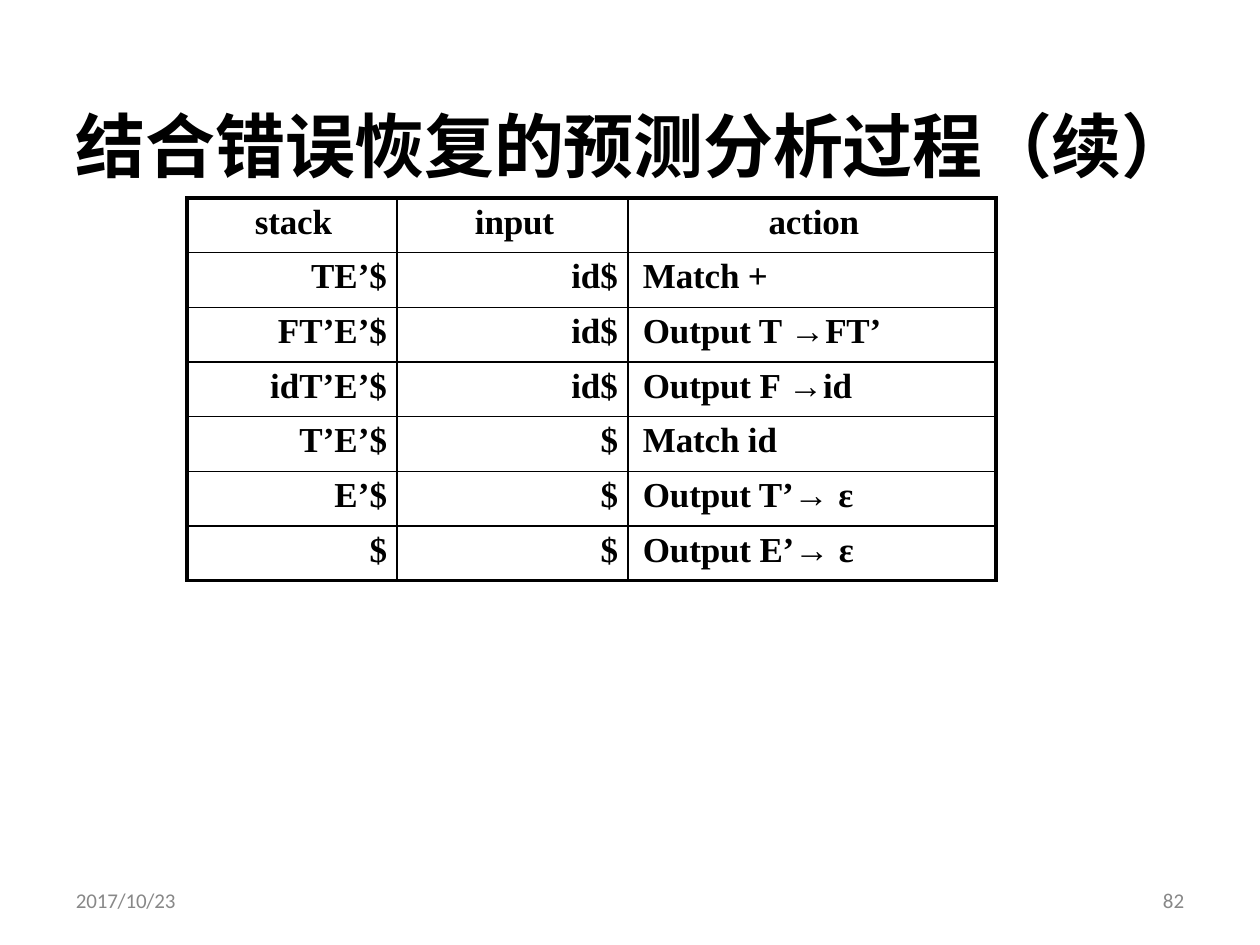
"""Builds the slide on predictive parsing with error recovery."""
from lxml.etree import SubElement
from pptx import Presentation
from pptx.dml.color import RGBColor
from pptx.enum.text import MSO_ANCHOR, PP_ALIGN
from pptx.oxml import parse_xml
from pptx.oxml.ns import nsdecls, qn
from pptx.util import Emu, Pt

PX = 914400 // 126
COLORS = {"ink": "000000", "muted": "888888"}
FORMATS = {
    "title": {"size": Pt(40), "name": "Noto Sans CJK SC", "bold": True},
    "cell": {"size": Pt(20), "name": "Times New Roman", "bold": True},
    "arrow": {"size": Pt(20), "name": "Arial", "bold": True},
    "footer": {"size": Pt(12), "name": "Calibri", "bold": False},
}


def add_run(p, text, style, color="ink", spacing=0):
    r = p.add_run()
    r.text = text
    for key, value in FORMATS[style].items():
        setattr(r.font, key, value)
    r.font.color.rgb = RGBColor.from_string(COLORS[color])
    rPr = r.font._element
    rPr.set("spc", str(spacing))
    if style == "title":
        SubElement(rPr, qn("a:ea"), typeface=FORMATS[style]["name"])


def set_margins(obj, left, top, right, bottom):
    for side, value in zip(("left", "top", "right", "bottom"), (left, top, right, bottom)):
        setattr(obj, f"margin_{side}", Emu(value * PX))


prs = Presentation()
prs.slide_width, prs.slide_height = Emu(1260 * PX), Emu(945 * PX)
s = prs.slides.add_slide(prs.slide_layouts[6])

boxes = [
    ("2017/10/23", (74, 891, 105, 24), 2, "footer", "muted", -10),
    ("82", (1159, 891, 28, 24), 4, "footer", "muted", 0),
    ("结合错误恢复的预测分析过程（续）", (74, 101, 1125, 88), 2, "title", "ink", -10),
]
for text, place, left, style, color, spacing in boxes:
    sp = s.shapes.add_textbox(*(Emu(v * PX) for v in place))
    tf = sp.text_frame
    tf.word_wrap = style == "title"
    set_margins(tf, left, 0, 0, 0)
    p = tf.paragraphs[0]
    if style == "title":
        tf.vertical_anchor = MSO_ANCHOR.MIDDLE
    else:
        p.line_spacing = Pt(12.4)
    add_run(p, text, style, color, spacing)

rows = [
    ("stack", "input", "action"),
    ("TE’$", "id$", "Match +"),
    ("FT’E’$", "id$", "Output T →FT’"),
    ("idT’E’$", "id$", "Output F →id"),
    ("T’E’$", "$", "Match id"),
    ("E’$", "$", "Output T’→ ε"),
    ("$", "$", "Output E’→ ε"),
]
widths = (210, 231, 368)
header_left = (68, 78, 4)
last_row, last_col = len(rows) - 1, len(widths) - 1
height = 383 * PX
frame = s.shapes.add_table(len(rows), len(widths), Emu(187 * PX), Emu(198 * PX),
                           Emu(sum(widths) * PX), Emu(height))
table = frame.table
table.first_row = table.horz_banding = False
for col, width in zip(table.columns, widths):
    col.width = Emu(width * PX)

for i, row in enumerate(rows):
    table.rows[i].height = Emu(height // len(rows))
    for j, text in enumerate(row):
        cell = table.cell(i, j)
        cell.fill.background()
        cell.vertical_anchor = MSO_ANCHOR.TOP
        p = cell.text_frame.paragraphs[0]
        if i == 0:
            set_margins(cell, header_left[j], 5, 0, 0)
            p.alignment = PP_ALIGN.CENTER if j == last_col else PP_ALIGN.LEFT
        elif j == last_col:
            set_margins(cell, 15, 5, 0, 0)
            p.alignment = PP_ALIGN.LEFT
        else:
            set_margins(cell, 0, 5, 10, 0)
            p.alignment = PP_ALIGN.RIGHT
        spacing = -10 if i == 0 or j == last_col else 0
        before, arrow, after = text.partition("→")
        if after.startswith(" "):
            arrow, after = arrow + " ", after[1:]
        for part, style in ((before, "cell"), (arrow, "arrow"), (after, "cell")):
            if part:
                add_run(p, part, style, spacing=spacing)
        outer = {"L": j == 0, "R": j == last_col, "T": i == 0, "B": i == last_row}
        for k, (side, thick) in enumerate(outer.items()):
            line = parse_xml(
                f'<a:ln{side} {nsdecls("a")} w="{Pt(2.25 if thick else 1)}"><a:solidFill>'
                f'<a:srgbClr val="{COLORS["ink"]}"/></a:solidFill></a:ln{side}>')
            cell._tc.tcPr.insert(k, line)

prs.save("out.pptx")
